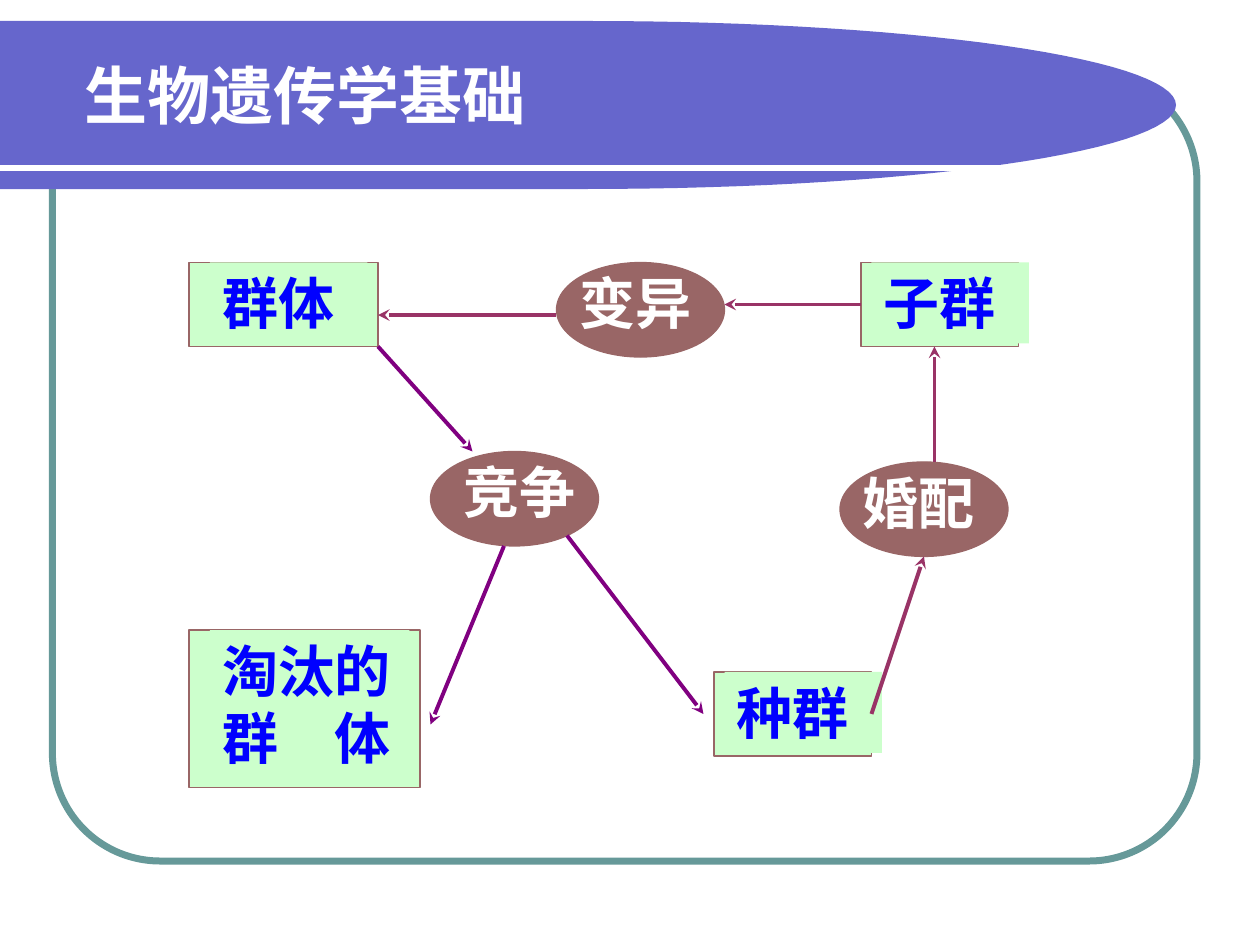
from math import cos, pi, sin

from lxml import etree
from pptx import Presentation
from pptx.dml.color import RGBColor
from pptx.enum.shapes import MSO_CONNECTOR, MSO_SHAPE
from pptx.enum.text import MSO_ANCHOR, PP_ALIGN
from pptx.oxml.ns import qn
from pptx.util import Cm, Pt

RECTANGLE = MSO_SHAPE.RECTANGLE
ELLIPSE = MSO_SHAPE.OVAL
ROUNDED = MSO_SHAPE.ROUNDED_RECTANGLE
STRAIGHT = MSO_CONNECTOR.STRAIGHT
LEFT = PP_ALIGN.LEFT
TOP = MSO_ANCHOR.TOP
MIDDLE = MSO_ANCHOR.MIDDLE

WHITE = RGBColor(0xFF, 0xFF, 0xFF)
TEAL = RGBColor(0x66, 0x99, 0x99)
INDIGO = RGBColor(0x66, 0x66, 0xCC)
MINT = RGBColor(0xCC, 0xFF, 0xCC)
BROWN = RGBColor(0x99, 0x66, 0x66)
BLUE = RGBColor(0x00, 0x00, 0xFF)
PURPLE = RGBColor(0x80, 0x00, 0x80)
PLUM = RGBColor(0x99, 0x33, 0x66)


def grid(*steps):
    return [Cm(step * 2.54 / 12) for step in steps]


def write_text(box, text, font="Times New Roman", size=32, color=BLUE, anchor=TOP):
    frame = box.text_frame
    frame.word_wrap = True
    frame.vertical_anchor = anchor
    para = frame.paragraphs[0]
    para.alignment = LEFT
    span = para.add_run()
    span.text = text
    span.font.name = font
    span.font.size = Pt(size)
    span.font.bold = True
    span.font.color.rgb = color


deck = Presentation()
deck.slide_width = Cm(25.4)
deck.slide_height = Cm(19.05)
page = deck.slides.add_slide(deck.slide_layouts[5])
shapes = page.shapes

border = shapes.add_shape(ROUNDED, *grid(5, 7, 109, 75))
border.adjustments[0] = 0.137
border.shadow.inherit = False
border.fill.background()
border.line.color.rgb = TEAL
border.line.width = Pt(4)

arc_steps = 60
angles = [pi * step / arc_steps - pi / 2 for step in range(arc_steps + 1)]
arc = [grid(56 + 56 * cos(angle), 10 + 8 * sin(angle)) for angle in angles]
builder = shapes.build_freeform(*grid(0, 2))
builder.add_line_segments(arc + [grid(0, 18)], close=True)
banner = builder.convert_to_shape()
banner.shadow.inherit = False
banner.fill.solid()
banner.fill.fore_color.rgb = INDIGO
banner.line.fill.background()

nodes = [
    (RECTANGLE, (18, 25, 18, 8), (20, 15, 7.7), "群体"),
    (ELLIPSE, (41, 43, 16, 9), (43, 15, 7.7), "竞争"),
    (RECTANGLE, (18, 60, 22, 15), (20, 19, 14), "淘汰的群　体"),
    (ELLIPSE, (53, 25, 16, 9), (54, 15, 7.7), "变异"),
    (RECTANGLE, (82, 25, 15, 8), (83, 15, 7.7), "子群"),
    (RECTANGLE, (68, 64, 15, 8), (69, 15, 7.7), "种群"),
    (ELLIPSE, (80, 44, 16, 9), (81, 15, 7.7), "婚配"),
]
for kind, place, (label_left, label_width, label_height), text in nodes:
    is_group = kind == RECTANGLE
    node = shapes.add_shape(kind, *grid(*place))
    node.shadow.inherit = False
    node.fill.solid()
    node.fill.fore_color.rgb = MINT if is_group else BROWN
    node.line.color.rgb = BROWN
    node.line.width = Pt(0.75)
    label = shapes.add_textbox(*grid(label_left, place[1], label_width, label_height))
    if is_group:
        label.fill.solid()
        label.fill.fore_color.rgb = MINT
    write_text(label, text, color=BLUE if is_group else WHITE)

lines = [
    ((0, 16, 106, 16), WHITE, 3, False),
    ((36, 33, 45, 43), PURPLE, 2.25, True),
    ((54, 51, 67, 68), PURPLE, 2.25, True),
    ((48, 52, 41, 69), PURPLE, 2.25, True),
    ((83, 68, 88, 53), PLUM, 2.25, True),
    ((89, 44, 89, 33), PLUM, 2.25, True),
    ((82, 29, 69, 29), PLUM, 2.25, True),
    ((53, 30, 36, 30), PLUM, 2.25, True),
]
for ends, color, width, has_arrow in lines:
    line = shapes.add_connector(STRAIGHT, *grid(*ends))
    line.line.color.rgb = color
    line.line.width = Pt(width)
    if has_arrow:
        etree.SubElement(line.line._get_or_add_ln(), qn("a:tailEnd"), type="stealth")
    etree.SubElement(line._element.spPr, qn("a:effectLst"))

title = shapes.title
title.left, title.top, title.width, title.height = Cm(1.45), Cm(0.64), Cm(21), Cm(2.54)
write_text(title, "生物遗传学基础", font="Arial", size=36, color=WHITE, anchor=MIDDLE)
shapes._spTree.append(title._element)

deck.save("out.pptx")
